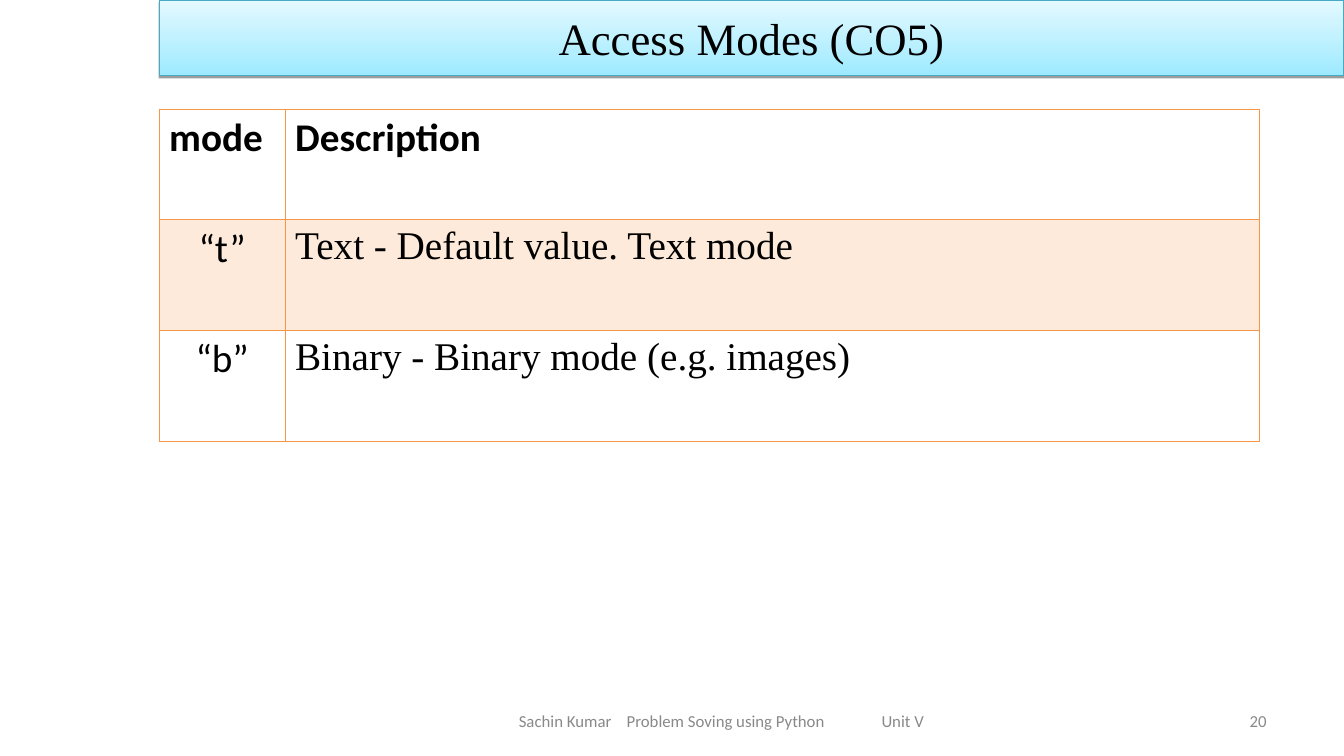
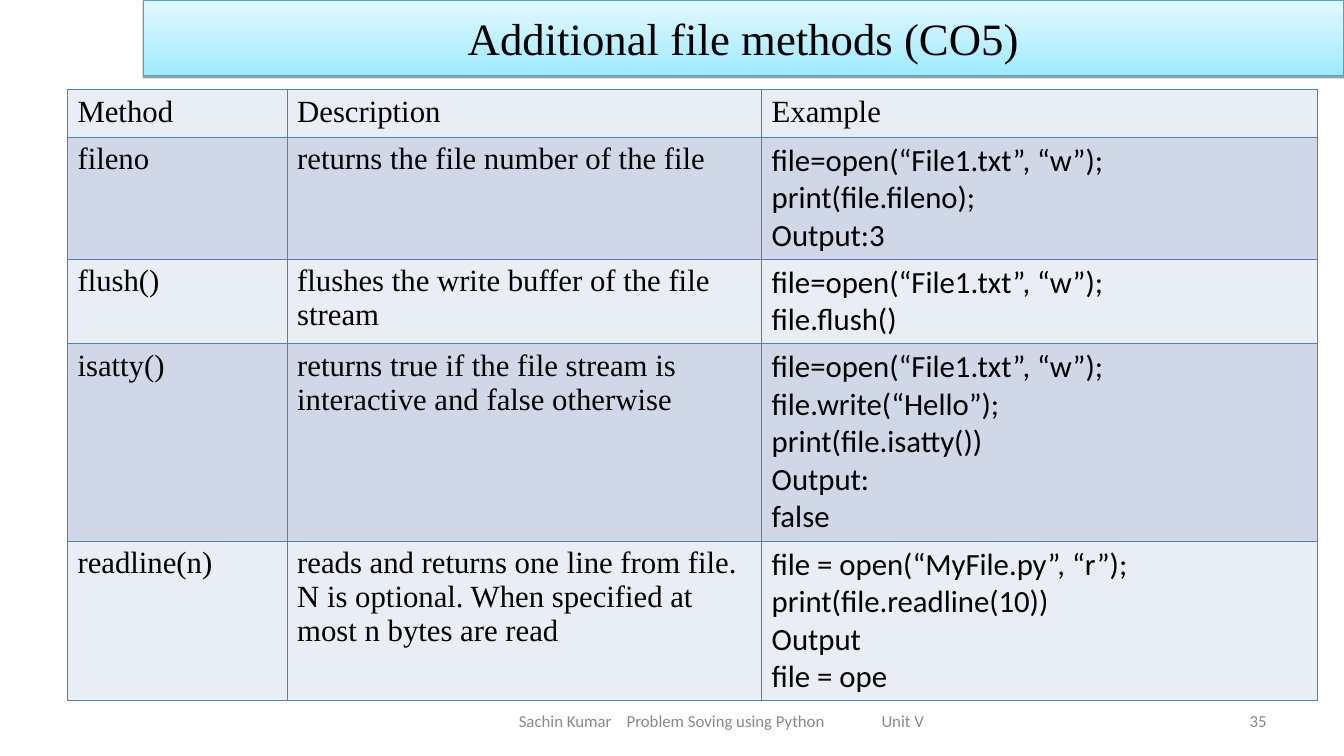
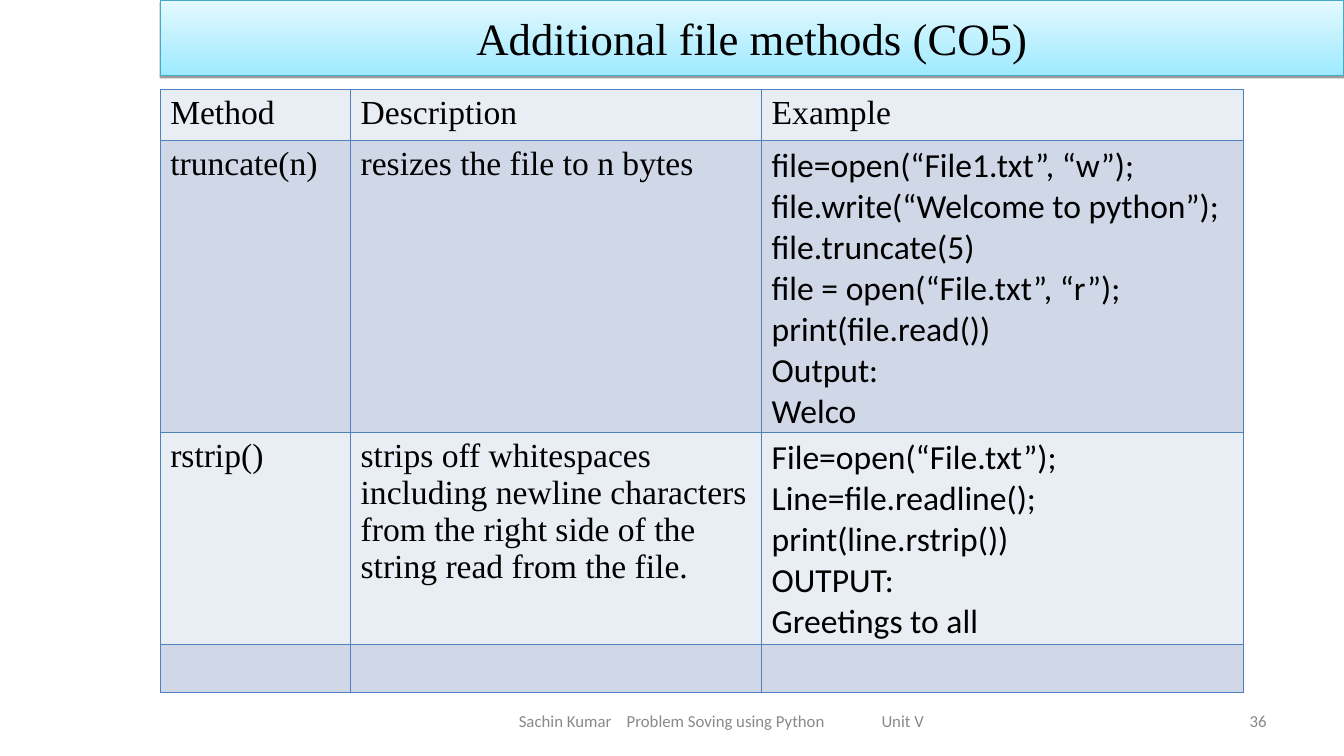
from pptx import Presentation
from pptx import util as u
from pptx.dml.color import RGBColor
from pptx.enum import text
from pptx.oxml import ns
from lxml import etree

Inches = u.Inches
BLACK = RGBColor(0x00, 0x00, 0x00)
GREY = RGBColor(0x89, 0x89, 0x89)
BAND_DEEP = RGBColor(0x9E, 0xEA, 0xFF)
BAND_PALE = RGBColor(0xE4, 0xF9, 0xFF)
BAND_EDGE = RGBColor(0x46, 0xAA, 0xC5)
ORANGE = RGBColor(0xF7, 0x96, 0x46)
BLUE = RGBColor(0x4F, 0x81, 0xBD)
ROW_PALE = RGBColor(0xE9, 0xED, 0xF4)
ROW_DEEP = RGBColor(0xD0, 0xD8, 0xE8)

SERIF, SANS = "Times New Roman", "Calibri"
LEFT, CENTER, RIGHT = text.PP_ALIGN.LEFT, text.PP_ALIGN.CENTER, text.PP_ALIGN.RIGHT
SLIDE_WIDTH, SLIDE_HEIGHT = 13.34, 7.5


def add_xml(parent, tag, **attributes):
    return etree.SubElement(parent, ns.qn(tag), {k: str(v) for k, v in attributes.items()})


def write(frame, content, size=12, font=SANS, color=BLACK, bold=False, align=LEFT, tabs=()):
    """Fill a text frame, one paragraph per line; tabs are stops in inches."""
    frame.word_wrap = True
    for index, line in enumerate(content.split("\n")):
        paragraph = frame.add_paragraph() if index else frame.paragraphs[0]
        paragraph.alignment = align
        if tabs:
            stops = add_xml(paragraph._p.get_or_add_pPr(), "a:tabLst")
            for stop in tabs:
                add_xml(stops, "a:tab", pos=Inches(stop), algn="l")
        run = paragraph.add_run()
        run.text = line
        run.font.size = u.Pt(size)
        run.font.name = font
        run.font.bold = bold
        run.font.color.rgb = color


def set_borders(cell, color, top=0.45, bottom=0.45):
    properties = cell._tc.get_or_add_tcPr()
    for side, width in (("L", 0.45), ("R", 0.45), ("T", top), ("B", bottom)):
        line = add_xml(properties, f"a:ln{side}", w=u.Pt(width))
        add_xml(add_xml(line, "a:solidFill"), "a:srgbClr", val=color)


def set_fill(cell, color, opacity=100):
    if color is None:
        cell.fill.background()
        return
    cell.fill.solid()
    cell.fill.fore_color.rgb = color
    if opacity < 100:
        value = cell._tc.tcPr.find(ns.qn("a:solidFill"))[0]
        add_xml(value, "a:alpha", val=opacity * 1000)


class Lecture:
    """Holds the deck, its shared style and the current slide."""

    def __init__(self):
        self.deck = Presentation()
        self.deck.slide_width = Inches(SLIDE_WIDTH)
        self.deck.slide_height = Inches(SLIDE_HEIGHT)

    def start_slide(self, heading, number, band_left):
        self.slide = self.deck.slides.add_slide(self.deck.slide_layouts[5])
        self.title_band(heading, band_left)
        self.footer(number)

    def title_band(self, heading, left):
        band = self.slide.shapes.title
        band.left, band.top = Inches(left), 0
        band.width, band.height = Inches(SLIDE_WIDTH - left), Inches(0.75)
        band.fill.gradient()
        band.fill.gradient_angle = 90
        for stop, color in zip(band.fill.gradient_stops, (BAND_DEEP, BAND_PALE)):
            stop.color.rgb = color
        band.line.color.rgb = BAND_EDGE
        band.line.width = u.Pt(0.75)
        band.shadow.inherit = False
        effects = band._element.spPr.find(ns.qn("a:effectLst"))
        shadow = add_xml(effects, "a:outerShdw", blurRad=0, dist=u.Pt(1.6),
                         dir=5400000, rotWithShape=0)
        add_xml(add_xml(shadow, "a:srgbClr", val=BLACK), "a:alpha", val=38000)
        band.text_frame.auto_size = text.MSO_AUTO_SIZE.NONE
        band.text_frame.vertical_anchor = text.MSO_ANCHOR.MIDDLE
        write(band.text_frame, heading, size=32, font=SERIF, align=CENTER)

    def label(self, content, left, width, inset=0.1, **style):
        box = self.slide.shapes.add_textbox(
            Inches(left), Inches(6.95), Inches(width), Inches(0.4))
        box.text_frame.margin_left = Inches(inset)
        box.text_frame.vertical_anchor = text.MSO_ANCHOR.MIDDLE
        write(box.text_frame, content, color=GREY, **style)

    def footer(self, number):
        self.label("Sachin Kumar\tProblem Soving using Python\tUnit V",
                   4.42, 5.5, inset=0.73, tabs=(1.07, 3.6))
        self.label(str(number), 9.56, 3.11, align=RIGHT)

    def grid(self, left, top, widths, heights):
        """Add a table without a banded style."""
        frame = self.slide.shapes.add_table(
            len(heights), len(widths), Inches(left), Inches(top),
            Inches(sum(widths)), Inches(sum(heights)))
        table = frame.table
        table.first_row = table.horz_banding = False
        for column, width in zip(table.columns, widths):
            column.width = Inches(width)
        for row, height in zip(table.rows, heights):
            row.height = Inches(height)
        return table

    def modes_table(self, left, top, widths, heights, rows):
        table = self.grid(left, top, widths, heights)
        for r, row in enumerate(rows):
            for c, content in enumerate(row):
                cell = table.cell(r, c)
                header = r == 0
                write(cell.text_frame, content, size=28, bold=header,
                      font=SANS if header or c == 0 else SERIF,
                      align=CENTER if c == 0 and not header else LEFT)
                set_borders(cell, ORANGE, top=0.96 if r == 1 else 0.45,
                            bottom=0.96 if header else 0.45)
                set_fill(cell, ORANGE if r == 1 else None, opacity=20)

    def methods_table(self, left, widths, heights, rows, size, bottom_margin=0.05):
        """Add a banded table of methods whose last column holds code."""
        table = self.grid(left, 0.89, widths, heights)
        for r, row in enumerate([("Method", "Description", "Example")] + rows):
            for c, content in enumerate(row):
                cell = table.cell(r, c)
                cell.margin_bottom = Inches(bottom_margin)
                if content:
                    write(cell.text_frame, content, size=size,
                          font=SANS if r and c == 2 else SERIF)
                set_borders(cell, BLUE)
                set_fill(cell, ROW_DEEP if r % 2 else ROW_PALE)


ACCESS_MODES = [
    ("mode", "Description"),
    ("“t”", "Text - Default value. Text mode"),
    ("“b”", "Binary - Binary mode (e.g. images)"),
]

STREAM_METHODS = [
    ("fileno", "returns the file number of the file",
     "file=open(“File1.txt”, “w”);\nprint(file.fileno);\nOutput:3"),
    ("flush()", "flushes the write buffer of the file stream",
     "file=open(“File1.txt”, “w”);\nfile.flush()"),
    ("isatty()", "returns true if the file stream is interactive and false otherwise",
     "file=open(“File1.txt”, “w”);\nfile.write(“Hello”);\nprint(file.isatty())\n"
     "Output:\nfalse"),
    ("readline(n)", "reads and returns one line from file. N is optional. "
     "When specified at most n bytes are read",
     "file = open(“MyFile.py”, “r”);\nprint(file.readline(10))\nOutput\nfile = ope"),
]

TRIMMING_METHODS = [
    ("truncate(n)", "resizes the file to n bytes",
     "file=open(“File1.txt”, “w”);\nfile.write(“Welcome to python”);\n"
     "file.truncate(5)\nfile = open(“File.txt”, “r”);\nprint(file.read())\n"
     "Output:\nWelco"),
    ("rstrip()", "strips off whitespaces including newline characters "
     "from the right side of the string read from the file.",
     "File=open(“File.txt”);\nLine=file.readline();\nprint(line.rstrip())\n"
     "OUTPUT:\nGreetings to all"),
    ("", "", ""),
]


def main():
    lecture = Lecture()

    lecture.start_slide("Access Modes (CO5)", 20, band_left=1.58)
    lecture.modes_table(1.58, 1.08, (1.25, 9.67), (1.1,) * 3, ACCESS_MODES)

    lecture.start_slide("Additional file methods (CO5)", 35, band_left=1.42)
    lecture.methods_table(0.67, (2.18, 4.71, 5.52), (0.47, 1.21, 0.84, 1.96, 1.58),
                          STREAM_METHODS, size=22)

    lecture.start_slide("Additional file methods (CO5)", 36, band_left=1.59)
    lecture.methods_table(1.59, (1.89, 4.08, 4.78), (0.5, 2.9, 2.1, 0.48),
                          TRIMMING_METHODS, size=24, bottom_margin=0)

    lecture.deck.save("out.pptx")


if __name__ == "__main__":
    main()
